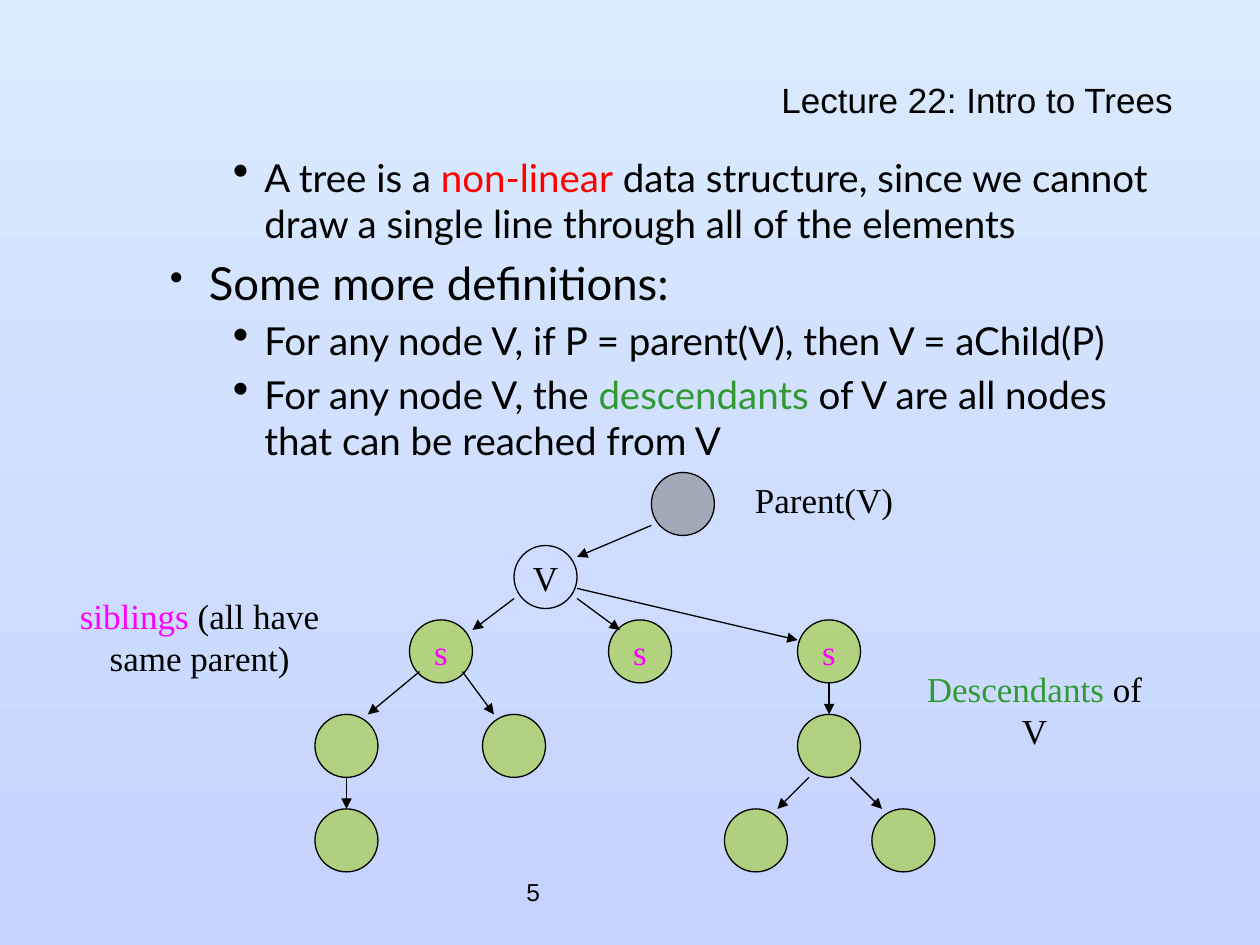
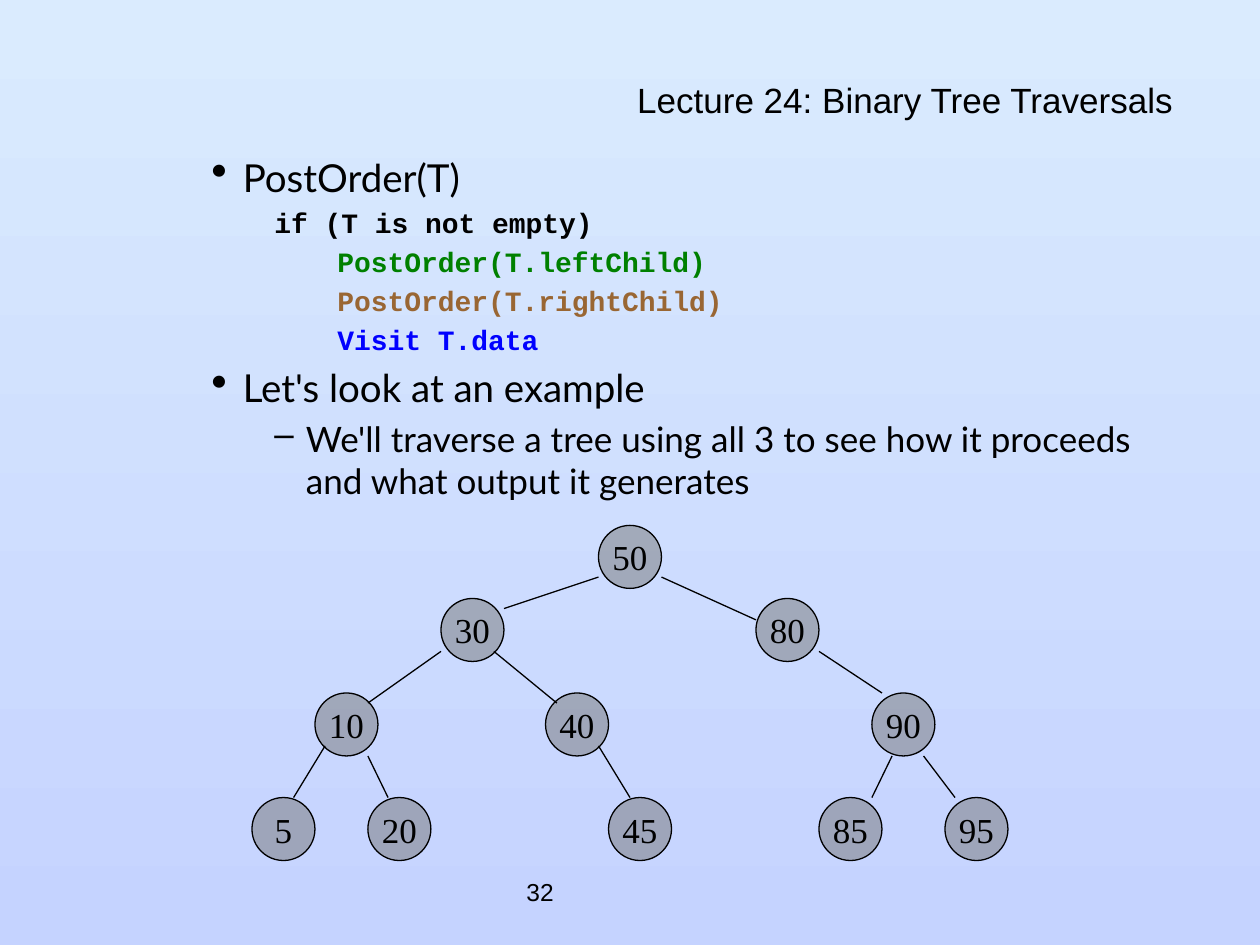
"""Build two lecture slides on trees and binary tree traversals."""
from dataclasses import dataclass
from typing import NamedTuple

from lxml import etree
from pptx import Presentation
from pptx.dml.color import RGBColor
from pptx.enum.shapes import MSO_CONNECTOR, MSO_SHAPE
from pptx.enum.text import MSO_ANCHOR, PP_ALIGN
from pptx.oxml.ns import qn
from pptx.slide import Slide
from pptx.text.text import TextFrame
from pptx.util import Inches, Pt

BLACK = RGBColor(0x00, 0x00, 0x00)
RED = RGBColor(0xFF, 0x00, 0x00)
LEAF_GREEN = RGBColor(0x33, 0x99, 0x33)
CODE_GREEN = RGBColor(0x00, 0x80, 0x00)
BROWN = RGBColor(0x99, 0x66, 0x33)
BLUE = RGBColor(0x00, 0x00, 0xFF)
MAGENTA = RGBColor(0xFF, 0x00, 0xFF)
LIME = RGBColor(0x99, 0xCC, 0x00)
GRAY = RGBColor(0x77, 0x77, 0x77)
SKY_TOP = RGBColor(0xDA, 0xEB, 0xFE)
SKY_BOTTOM = RGBColor(0xC5, 0xD3, 0xFF)

ELLIPSE = MSO_SHAPE.OVAL
STRAIGHT = MSO_CONNECTOR.STRAIGHT
TOP = MSO_ANCHOR.TOP
MIDDLE = MSO_ANCHOR.MIDDLE
LEFT = PP_ALIGN.LEFT
CENTER = PP_ALIGN.CENTER
RIGHT = PP_ALIGN.RIGHT

NODE_SIZE = Inches(0.5)
LINE_WIDTH = Pt(0.75)
HANGING_INDENT = 0.25


class TextRun(NamedTuple):
    """A stretch of text in one colour."""
    text: str
    color: RGBColor = BLACK


class Box(NamedTuple):
    """A rectangle in inches."""
    left: float
    top: float
    width: float
    height: float


class Edge(NamedTuple):
    """A line between two points in inches."""
    start_x: float
    start_y: float
    end_x: float
    end_y: float


@dataclass(frozen=True)
class TextStyle:
    """Font, alignment, indents and bullet of a paragraph."""
    font: str
    size: int
    bold: bool = False
    alignment: PP_ALIGN = LEFT
    line_spacing: float = 1.0
    level: int = 0
    margin: float = 0
    hanging: float = 0
    bullet: str = ""
    bullet_percent: int = 100


@dataclass(frozen=True)
class Node:
    """A round tree node with an optional fill and label."""
    left: float
    top: float
    label: str = ""
    fill: RGBColor | None = GRAY
    color: RGBColor = BLACK


class BodyLine(NamedTuple):
    """A styled paragraph of the body."""
    style: TextStyle
    runs: list[TextRun]


class Label(NamedTuple):
    """A caption beside the tree."""
    box: Box
    runs: list[TextRun]


@dataclass(frozen=True)
class LectureSlide:
    """Everything that one slide shows."""
    title: str
    number: str
    body_box: Box
    body: list[BodyLine]
    nodes: list[Node]
    edges: list[Edge]
    arrows: bool
    labels: list[Label]


TITLE_BOX = Box(0.58, 0.67, 8.83, 0.33)
NUMBER_BOX = Box(4.08, 6.83, 2.08, 0.5)
TITLE_STYLE = TextStyle("Arial", 20, alignment=RIGHT, line_spacing=0.7)
NUMBER_STYLE = TextStyle("Arial", 14)
TREE_STYLE = TextStyle("Times New Roman", 20, alignment=CENTER)
TOPIC = TextStyle("Lato", 26, level=1, margin=0.81, hanging=0.31,
                  bullet="•", bullet_percent=85)
POINT = TextStyle("Lato", 22, level=2, margin=1.25, hanging=HANGING_INDENT,
                  bullet="•", bullet_percent=120)
DETAIL = TextStyle("Lato", 20, level=3, margin=1.75, hanging=HANGING_INDENT, bullet="–")
CODE = TextStyle("Courier New", 16, True, level=3, margin=1.75, hanging=HANGING_INDENT)
NESTED_CODE = TextStyle("Courier New", 16, True, level=4, margin=2.25,
                        hanging=HANGING_INDENT)

INTRO = LectureSlide(
    title="Lecture 22: Intro to Trees",
    number="5",
    body_box=Box(0.75, 1.17, 8.67, 5.5),
    body=[
        BodyLine(POINT, [
            TextRun("A tree is a "), TextRun("non-linear", RED),
            TextRun(" data structure, since we cannot draw a single line "
                    "through all of the elements")]),
        BodyLine(TOPIC, [TextRun("Some more definitions:")]),
        BodyLine(POINT, [TextRun("For any node V, if P = parent(V), then V = aChild(P)")]),
        BodyLine(POINT, [
            TextRun("For any node V, the "), TextRun("descendants", LEAF_GREEN),
            TextRun(" of V are all nodes that can be reached from V")]),
    ],
    nodes=[
        Node(5.17, 3.75),
        Node(4.08, 4.33, "V", None),
        *(Node(left, 4.92, "s", LIME, MAGENTA) for left in (3.25, 4.83, 6.33)),
        *(Node(left, 5.67, fill=LIME) for left in (2.5, 3.83, 6.33)),
        *(Node(left, 6.42, fill=LIME) for left in (2.5, 5.75, 6.92)),
    ],
    edges=[
        Edge(5.17, 4.17, 4.58, 4.42),
        Edge(4.08, 4.75, 3.75, 5),
        Edge(4.58, 4.75, 4.92, 5),
        Edge(4.58, 4.67, 6.33, 5.08),
        Edge(3.33, 5.33, 2.92, 5.67),
        Edge(3.67, 5.33, 3.92, 5.67),
        Edge(6.58, 5.42, 6.58, 5.67),
        Edge(2.75, 6.17, 2.75, 6.42),
        Edge(6.42, 6.17, 6.17, 6.42),
        Edge(6.75, 6.17, 7, 6.42),
    ],
    arrows=True,
    labels=[
        Label(Box(5.75, 3.75, 1.58, 0.43), [TextRun("Parent(V)")]),
        Label(Box(7.25, 5.25, 1.92, 0.77),
              [TextRun("Descendants", LEAF_GREEN), TextRun(" of V")]),
        Label(Box(0.42, 4.67, 2.33, 0.77),
              [TextRun("siblings", MAGENTA), TextRun(" (all have same parent)")]),
    ],
)

TRAVERSALS = LectureSlide(
    title="Lecture 24: Binary Tree Traversals",
    number="32",
    body_box=Box(0.58, 1.17, 8.83, 5.5),
    body=[
        BodyLine(POINT, [TextRun("PostOrder(T)")]),
        BodyLine(CODE, [TextRun("if (T is not empty)")]),
        BodyLine(NESTED_CODE, [TextRun("PostOrder(T.leftChild)", CODE_GREEN)]),
        BodyLine(NESTED_CODE, [TextRun("PostOrder(T.rightChild)", BROWN)]),
        BodyLine(NESTED_CODE, [TextRun("Visit T.data", BLUE)]),
        BodyLine(POINT, [TextRun("Let's look at an example")]),
        BodyLine(DETAIL, [TextRun("We'll traverse a tree using all 3 to see how it "
                                  "proceeds and what output it generates")]),
    ],
    nodes=[
        Node(4.75, 4.17, "50"),
        Node(3.5, 4.75, "30"), Node(6, 4.75, "80"),
        Node(2.5, 5.5, "10"), Node(4.33, 5.5, "40"), Node(6.92, 5.5, "90"),
        Node(2, 6.33, "5"), Node(2.92, 6.33, "20"), Node(4.83, 6.33, "45"),
        Node(6.5, 6.33, "85"), Node(7.5, 6.33, "95"),
    ],
    edges=[
        Edge(4.75, 4.58, 4, 4.83),
        Edge(5.25, 4.58, 6, 4.92),
        Edge(3.5, 5.17, 2.92, 5.58),
        Edge(3.92, 5.17, 4.42, 5.58),
        Edge(6.5, 5.17, 7, 5.5),
        Edge(2.58, 5.92, 2.33, 6.33),
        Edge(2.92, 6, 3.08, 6.33),
        Edge(4.75, 5.92, 5, 6.33),
        Edge(7.08, 6, 6.92, 6.33),
        Edge(7.33, 6, 7.58, 6.33),
    ],
    arrows=False,
    labels=[],
)


def write_paragraph(text_frame: TextFrame, style: TextStyle, runs: list[TextRun],
                    first: bool = True) -> None:
    """Write one styled paragraph, spaced from the one above it."""
    paragraph = text_frame.paragraphs[0] if first else text_frame.add_paragraph()
    paragraph.alignment = style.alignment
    paragraph.level = style.level
    paragraph.line_spacing = style.line_spacing
    properties = paragraph._p.get_or_add_pPr()
    properties.set("marL", str(Inches(style.margin)))
    properties.set("indent", str(-Inches(style.hanging)))
    if not first:
        spacing = etree.SubElement(properties, qn("a:spcBef"))
        etree.SubElement(spacing, qn("a:spcPct"), val="20000")
    if style.bullet:
        bullet_color = etree.SubElement(properties, qn("a:buClr"))
        etree.SubElement(bullet_color, qn("a:srgbClr"), val=str(BLACK))
        etree.SubElement(properties, qn("a:buSzPct"), val=str(style.bullet_percent * 1000))
        etree.SubElement(properties, qn("a:buChar"), char=style.bullet)
    for text, color in runs:
        run = paragraph.add_run()
        run.text = text
        run.font.name = style.font
        run.font.size = Pt(style.size)
        run.font.bold = style.bold
        run.font.color.rgb = color


def add_text(slide: Slide, box: Box, lines: list[BodyLine], anchor: MSO_ANCHOR = TOP) -> None:
    """Add a wrapping text box that holds the given lines."""
    text_frame = slide.shapes.add_textbox(*map(Inches, box)).text_frame
    text_frame.word_wrap = True
    text_frame.vertical_anchor = anchor
    for index, line in enumerate(lines):
        write_paragraph(text_frame, line.style, line.runs, index == 0)


def add_node(slide: Slide, node: Node) -> None:
    """Draw a tree node, half transparent when filled."""
    shape = slide.shapes.add_shape(ELLIPSE, Inches(node.left), Inches(node.top),
                                   NODE_SIZE, NODE_SIZE)
    shape.shadow.inherit = False
    if node.fill is None:
        shape.fill.background()
    else:
        shape.fill.solid()
        shape.fill.fore_color.rgb = node.fill
        fill_color = shape._element.spPr.find(".//" + qn("a:srgbClr"))
        etree.SubElement(fill_color, qn("a:alpha"), val="50000")
    shape.line.color.rgb = BLACK
    shape.line.width = LINE_WIDTH
    if node.label:
        shape.text_frame.word_wrap = False
        shape.text_frame.vertical_anchor = MIDDLE
        write_paragraph(shape.text_frame, TREE_STYLE, [TextRun(node.label, node.color)])


def add_edge(slide: Slide, edge: Edge, arrow: bool) -> None:
    """Draw a tree edge, with an arrowhead at its end if wanted."""
    connector = slide.shapes.add_connector(STRAIGHT, *map(Inches, edge))
    connector.line.color.rgb = BLACK
    connector.line.width = LINE_WIDTH
    if arrow:
        etree.SubElement(connector.line._get_or_add_ln(), qn("a:tailEnd"), type="triangle")
    etree.SubElement(connector._element.spPr, qn("a:effectLst"))


def add_lecture_slide(presentation: Presentation, content: LectureSlide) -> None:
    """Add a slide with the shared background, title and number, then its content."""
    slide = presentation.slides.add_slide(presentation.slide_layouts[6])
    background = slide.background.fill
    background.gradient()
    background.gradient_angle = 270
    for stop, color in zip(background.gradient_stops, (SKY_TOP, SKY_BOTTOM)):
        stop.color.rgb = color
    add_text(slide, NUMBER_BOX, [BodyLine(NUMBER_STYLE, [TextRun(content.number)])], MIDDLE)
    add_text(slide, TITLE_BOX, [BodyLine(TITLE_STYLE, [TextRun(content.title)])], MIDDLE)
    add_text(slide, content.body_box, content.body)
    for node in content.nodes:
        add_node(slide, node)
    for edge in content.edges:
        add_edge(slide, edge, content.arrows)
    for label in content.labels:
        add_text(slide, label.box, [BodyLine(TREE_STYLE, label.runs)])


def main() -> None:
    """Build and save the presentation."""
    presentation = Presentation()
    presentation.slide_width = Inches(10)
    presentation.slide_height = Inches(7.5)
    for content in (INTRO, TRAVERSALS):
        add_lecture_slide(presentation, content)
    presentation.save("out.pptx")


if __name__ == "__main__":
    main()
